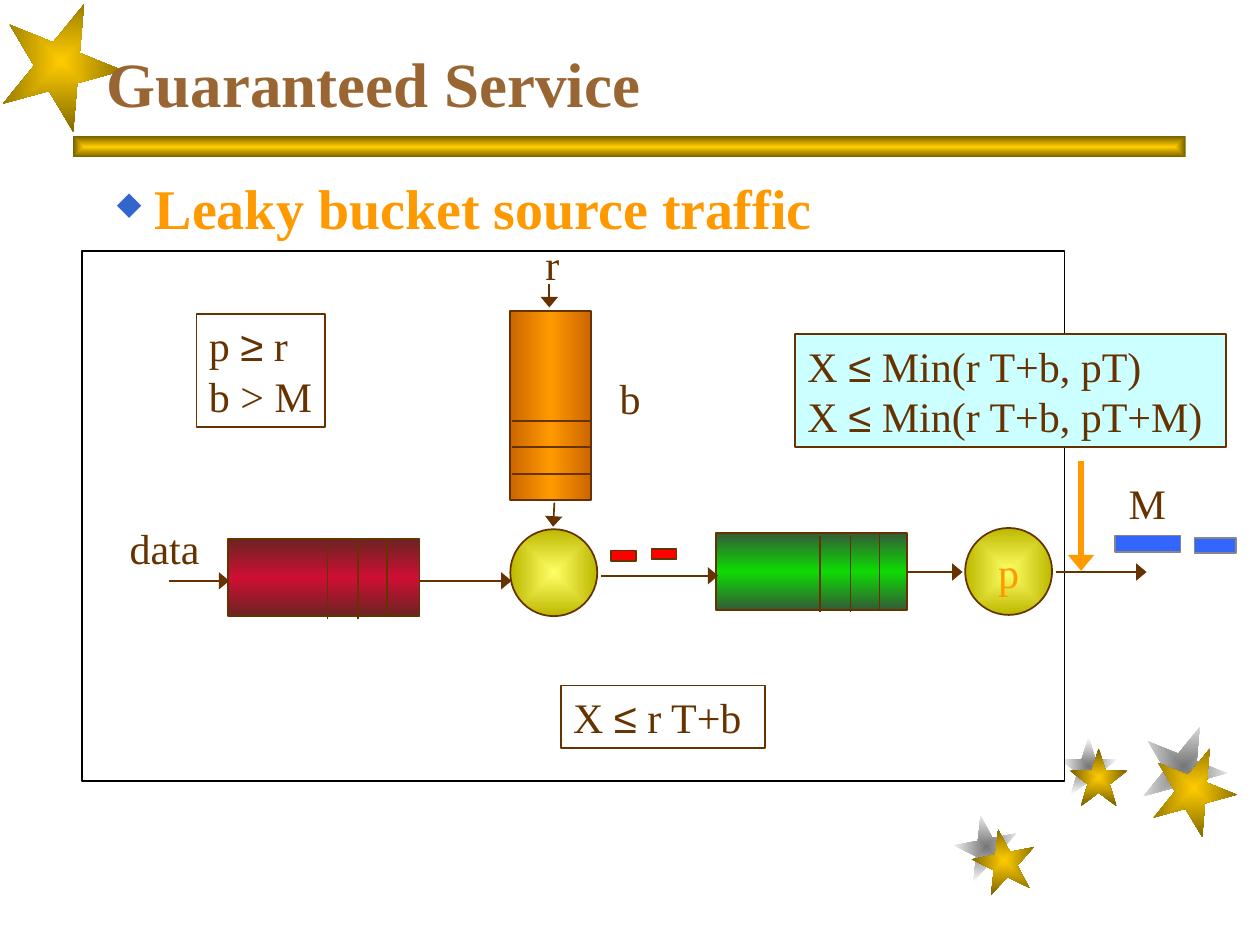
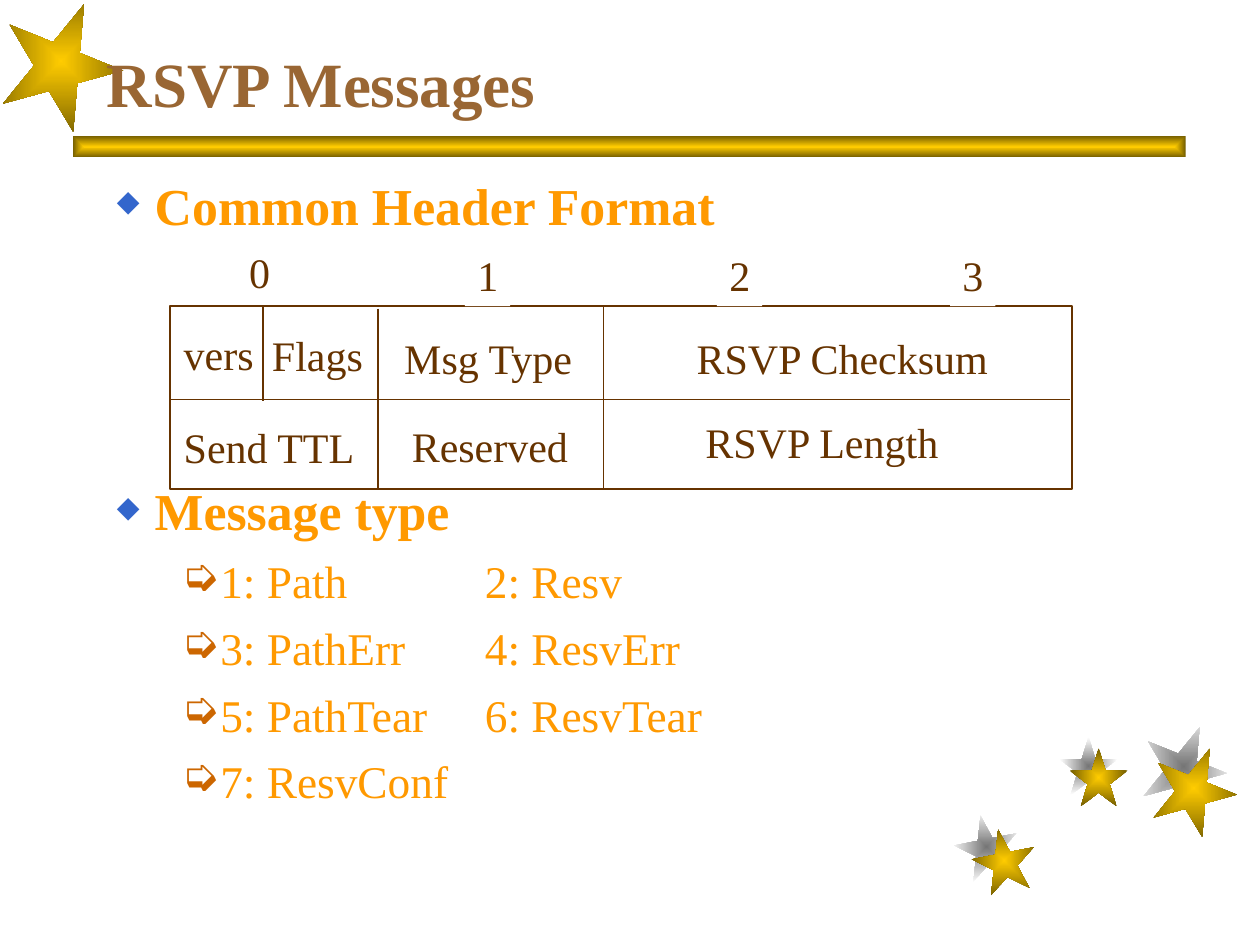
import itertools

import pptx
import pptx.dml.color
import pptx.enum.shapes
import pptx.enum.text
import pptx.oxml
import pptx.oxml.ns
import pptx.util

PX = 9144  # 100 px to the inch
FONT, SYMBOL_FONT = "Times New Roman", "Arial"
BROWN, TITLE_BROWN, ORANGE = "663300", "996633", "FF9900"
WHITE, RED, BLUE = "FFFFFF", "FF0000", "3366FF"
# A gradient is its stops and an angle; no angle means from the centre outwards
GOLD = (("FFCC00", "755E00"), None)
SHADE = (("757575", "FFFFFF"), None)
YELLOW = (("FFFF66", "BCB800"), None)

colour = pptx.dml.color.RGBColor.from_string
NS = pptx.oxml.ns.nsdecls("a")
SHAPES = pptx.enum.shapes.MSO_SHAPE
ALIGN = pptx.enum.text.PP_ALIGN
ANCHOR = pptx.enum.text.MSO_ANCHOR
TABS = "".join(f'<a:tab pos="{inch * 914400}" algn="l"/>' for inch in range(1, 9))


def place(slide, kind, box, fill=None, outline=None, text="", size=24, ink=BROWN,
          bold=False, grow=True, anchor=ANCHOR.TOP, align=ALIGN.LEFT, rotation=0):
    """Add a preset shape, or a text box when kind is None."""
    frame = [length * PX for length in box]
    if kind is None:
        shape = slide.shapes.add_textbox(*frame)
    else:
        shape = slide.shapes.add_shape(kind, *frame)
        shape.shadow.inherit = False
    shape.rotation = rotation

    shape.fill.background()
    if isinstance(fill, str):
        shape.fill.solid()
        shape.fill.fore_color.rgb = colour(fill)
    elif fill:
        stops, angle = fill
        stop_xml = "".join(
            f'<a:gs pos="{100000 * i // (len(stops) - 1)}"><a:srgbClr val="{stop}"/></a:gs>'
            for i, stop in enumerate(stops))
        if angle is None:
            course = ('<a:path path="rect"><a:fillToRect l="50000" t="50000" '
                      'r="50000" b="50000"/></a:path>')
        else:
            course = f'<a:lin ang="{angle * 60000}" scaled="1"/>'
        blank = shape._element.spPr.find(pptx.oxml.ns.qn("a:noFill"))
        blank.getparent().replace(blank, pptx.oxml.parse_xml(
            f'<a:gradFill {NS} rotWithShape="1"><a:gsLst>{stop_xml}</a:gsLst>{course}</a:gradFill>'))

    if outline:
        shape.line.color.rgb = colour(outline)
        shape.line.width = pptx.util.Pt(1)
    else:
        shape.line.fill.background()

    if text:
        body = shape.text_frame
        body.word_wrap = not grow
        body.vertical_anchor = anchor
        if grow:
            body.auto_size = pptx.enum.text.MSO_AUTO_SIZE.SHAPE_TO_FIT_TEXT
        for i, line in enumerate(text.split("\n")):
            paragraph = body.add_paragraph() if i else body.paragraphs[0]
            paragraph.alignment = align
            for is_symbol, letters in itertools.groupby(line, lambda letter: letter in "≤≥"):
                run = paragraph.add_run()
                run.text = "".join(letters)
                run.font.name = SYMBOL_FONT if is_symbol else FONT
                run.font.size = pptx.util.Pt(size)
                run.font.bold = bold
                run.font.color.rgb = colour(ink)
    return shape


def rule(slide, x1, y1, x2, y2, ink=BROWN, width=1, arrow=False):
    connector = slide.shapes.add_connector(
        pptx.enum.shapes.MSO_CONNECTOR.STRAIGHT, x1 * PX, y1 * PX, x2 * PX, y2 * PX)
    connector.line.color.rgb = colour(ink)
    connector.line.width = pptx.util.Pt(width)
    if arrow:
        connector.line._get_or_add_ln().append(
            pptx.oxml.parse_xml(f'<a:tailEnd {NS} type="triangle" w="lg" len="med"/>'))
    connector._element.spPr.append(pptx.oxml.parse_xml(f"<a:effectLst {NS}/>"))


deck = pptx.Presentation()
deck.slide_width, deck.slide_height = 1000 * PX, 750 * PX

# Both slides: stars, gold band, title and bulleted body
# Body items: level, text, size, space before
slide_contents = [
    ("Guaranteed Service", 75, [(0, "Leaky bucket source traffic", 32, 0)]),
    ("RSVP Messages", 525, [
        (0, "Common Header Format", 29.6, 0),
        (0, "Message type", 29.6, 139),
        (1, "1: Path\t\t2: Resv", 25.9, 7),
        (1, "3: PathErr\t4: ResvErr", 25.9, 7),
        (1, "5: PathTear\t6: ResvTear", 25.9, 7),
        (1, "7: ResvConf", 25.9, 7)]),
]
# Bullet per level: margin and hanging indent in px, colour, size in percent, character
bullets = [(38, 30, "3366CC", 57, "◆"), (90, 31, "CC6600", 100, "➭")]
stars = [(758, 647, 50, 349, SHADE), (841, 585, 46, 0, SHADE), (906, 575, 67, 22, SHADE),
         (772, 658, 50, 349, GOLD), (849, 594, 46, 0, GOLD), (914, 592, 67, 22, GOLD),
         (0, 0, 97, 22, GOLD)]

for title, body_height, items in slide_contents:
    slide = deck.slides.add_slide(deck.slide_layouts[6])
    for left, top, side, turn, fill in stars:
        place(slide, SHAPES.STAR_5_POINT, (left, top, side, side), fill, rotation=turn)
    place(slide, SHAPES.RECTANGLE, (58, 108, 883, 17), GOLD)
    place(slide, None, (75, 25, 850, 75), text=title, size=36, ink=TITLE_BROWN,
          bold=True, grow=False, anchor=ANCHOR.BOTTOM)

    body = place(slide, None, (75, 133, 850, body_height)).text_frame
    body.word_wrap = True
    for i, (level, words, size, space) in enumerate(items):
        paragraph = body.add_paragraph() if i else body.paragraphs[0]
        margin, hang, bullet_ink, percent, bullet = bullets[level]
        properties = paragraph._p.get_or_add_pPr()
        properties.set("marL", str(margin * PX))
        properties.set("indent", str(-hang * PX))
        for part in (f'<a:buClr {NS}><a:srgbClr val="{bullet_ink}"/></a:buClr>',
                     f'<a:buSzPct {NS} val="{percent * 1000}"/>',
                     f'<a:buChar {NS} char="{bullet}"/>',
                     f"<a:tabLst {NS}>{TABS}</a:tabLst>"):
            properties.append(pptx.oxml.parse_xml(part))
        paragraph.level = level
        paragraph.space_before = pptx.util.Pt(space)
        run = paragraph.add_run()
        run.text = words
        run.font.name = FONT
        run.font.size = pptx.util.Pt(size)
        run.font.bold = level == 0
        run.font.color.rgb = colour(ORANGE)

service, messages = deck.slides

# Guaranteed Service: diagram frame
place(service, SHAPES.RECTANGLE, (65, 199, 780, 421), WHITE, "000000")

# Data queue and regulated queue, each with three packet slots
for left, top, edge, middle, first_slot in [(181, 428, "6B2323", "CF0F34", 260),
                                            (568, 423, "335B36", "0DDB03", 651)]:
    place(service, SHAPES.RECTANGLE, (left, top, 152, 61), ((edge, middle, edge), 90), BROWN)
    for slot, drop in ((0, 2), (24, 2), (47, 1)):
        rule(service, first_slot + slot, top + drop, first_slot + slot, top + drop + 61)

# Regulator and peak-rate server
place(service, SHAPES.OVAL, (405, 420, 69, 69), YELLOW, BROWN)
server = place(service, SHAPES.OVAL, (766, 419, 69, 69), YELLOW, BROWN, "p", ink=ORANGE,
               grow=False, anchor=ANCHOR.MIDDLE, align=ALIGN.CENTER)
server.text_frame.word_wrap = False

# Token bucket with its levels
place(service, SHAPES.RECTANGLE, (405, 247, 64, 150),
      (("CC6600", ORANGE, "CC6600"), 180), BROWN)
for level_y in (334, 355, 376):
    rule(service, 406, level_y, 470, level_y)

# Flow arrows
for flow in [(134, 461, 182, 461), (333, 461, 406, 461), (477, 457, 570, 457),
             (720, 454, 764, 454), (838, 454, 910, 454), (440, 399, 439, 418),
             (436, 225, 436, 244)]:
    rule(service, *flow, arrow=True)
rule(service, 858, 366, 858, 453, ORANGE, 3, arrow=True)

# Labels and formulas
for words, left, top, width in [("data", 93, 410, 80), ("r", 423, 184, 31),
                                ("b", 482, 291, 36), ("M", 886, 374, 49)]:
    place(service, None, (left, top, width, 50), text=words)
for formula, box, fill in [
        ("X ≤ r T+b", (445, 544, 162, 50), None),
        ("X ≤ Min(r T+b, pT)\nX ≤ Min(r T+b, pT+M)", (631, 265, 342, 90), "CCFFFF"),
        ("p ≥ r\nb > M", (156, 249, 102, 90), None)]:
    place(service, SHAPES.RECTANGLE, box, fill, BROWN, formula)

# Packets on the wire
for box, fill, outline in [((885, 425, 52, 13), BLUE, "868686"),
                           ((948, 427, 33, 12), BLUE, "868686"),
                           ((517, 436, 20, 8), RED, BROWN),
                           ((485, 437, 20, 8), RED, BROWN)]:
    place(service, SHAPES.RECTANGLE, box, fill, outline)

# RSVP Messages: header frame, byte numbers and fields
place(messages, SHAPES.RECTANGLE, (135, 243, 716, 145), WHITE, BROWN)
for words, left, top, width in [
        ("0", 188, 191, 36), ("1", 369, 193, 36), ("2", 569, 193, 36), ("3", 754, 193, 36),
        ("vers", 136, 256, 80), ("Flags", 206, 257, 92), ("Msg Type", 311, 259, 156),
        ("RSVP Checksum", 543, 259, 252), ("Send TTL", 136, 330, 156),
        ("Reserved", 317, 329, 144), ("RSVP Length", 550, 326, 206)]:
    place(messages, SHAPES.RECTANGLE, (left, top, width, 50), WHITE, text=words)

# Field dividers
for divider in [(135, 317, 849, 317), (209, 244, 209, 318),
                (300, 245, 300, 388), (479, 244, 479, 388)]:
    rule(messages, *divider)

deck.save("out.pptx")
